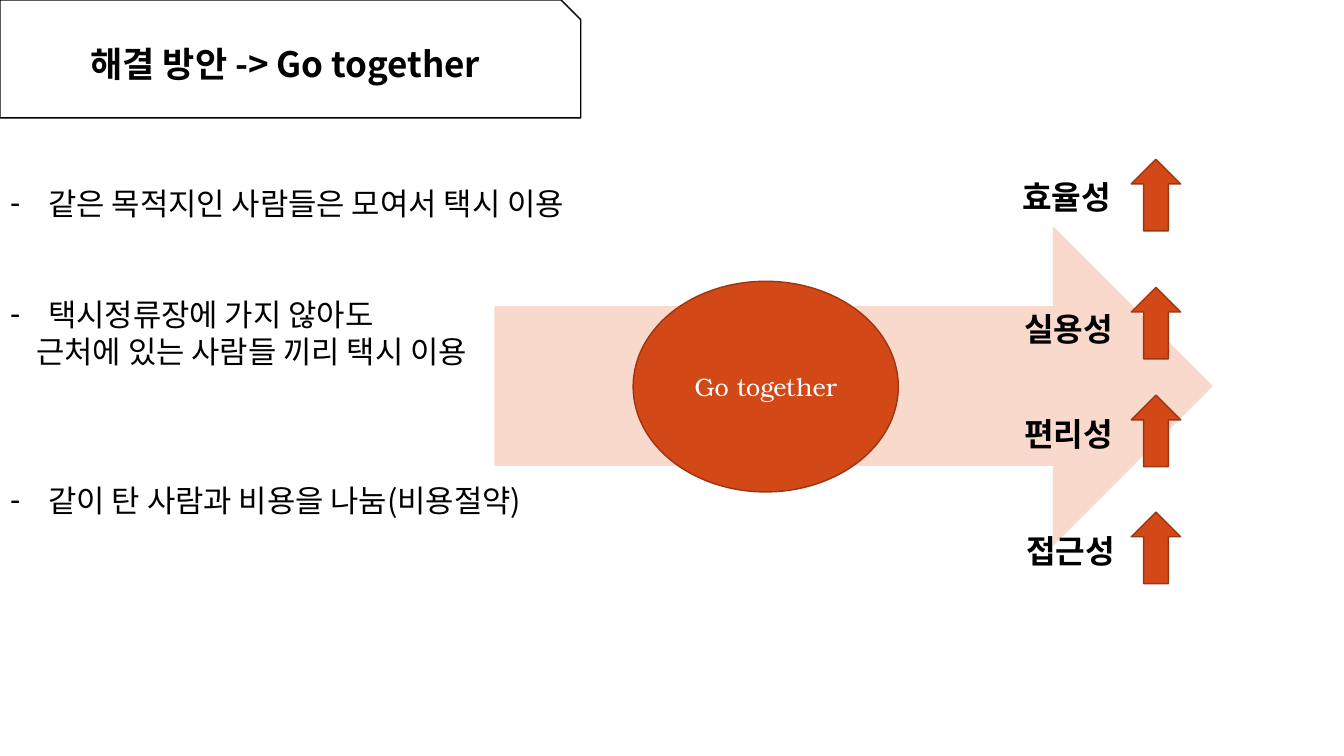
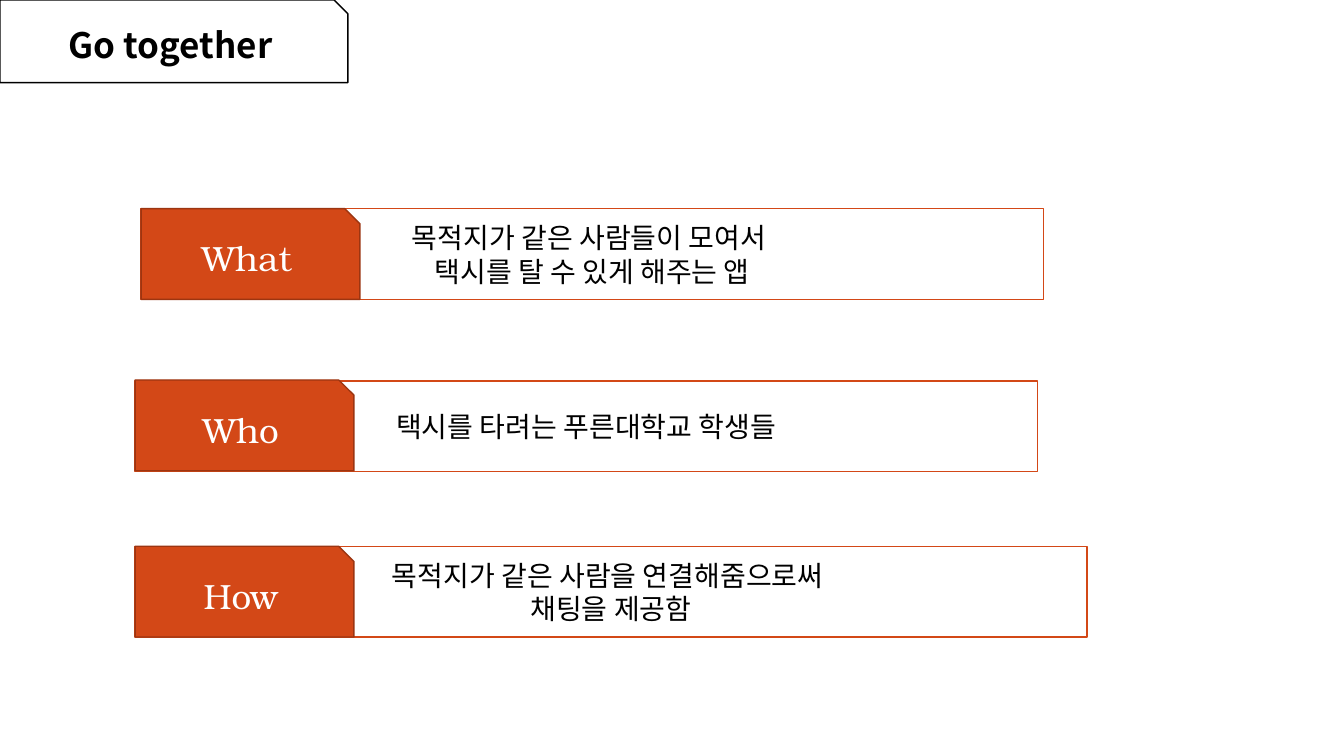
from lxml import etree
from pptx import Presentation
from pptx.dml.color import RGBColor
from pptx.enum.shapes import MSO_SHAPE
from pptx.enum.text import MSO_ANCHOR, MSO_AUTO_SIZE, PP_ALIGN
from pptx.oxml.ns import qn
from pptx.util import Inches, Pt

SNIPPED = MSO_SHAPE.SNIP_1_RECTANGLE
PROCESS = MSO_SHAPE.FLOWCHART_PROCESS
ELLIPSE = MSO_SHAPE.OVAL
RIGHT_ARROW = MSO_SHAPE.RIGHT_ARROW
UP_ARROW = MSO_SHAPE.UP_ARROW
LEFT, CENTER = PP_ALIGN.LEFT, PP_ALIGN.CENTER
TOP, MIDDLE = MSO_ANCHOR.TOP, MSO_ANCHOR.MIDDLE
NO_FIT = MSO_AUTO_SIZE.NONE

COLORS = {
    "white": "FFFFFF",
    "black": "000000",
    "orange": "D34817",
    "rust": "9C3511",
    "peach": "FAD9CD",
}
SANS, SERIF = "Noto Sans CJK KR", "TeX Gyre Bonum"
TITLE_LAYOUT, BODY_LAYOUT = 5, 1
SNIP_RATIO = 0.1667


def color(name):
    return RGBColor.from_string(COLORS[name])


def write(frame, lines, size=20, font=SANS, ink="black", bold=False,
          align=CENTER, anchor=MIDDLE, wrap=True):
    """Fill a text frame with one formatted paragraph per line."""
    frame.word_wrap = wrap
    frame.auto_size = NO_FIT
    frame.vertical_anchor = anchor
    for index, line in enumerate(lines):
        paragraph = frame.paragraphs[0] if index == 0 else frame.add_paragraph()
        paragraph.alignment = align
        paragraph.space_before = Pt(0)
        run = paragraph.add_run()
        run.text = line
        run.font.size = Pt(size)
        run.font.name = font
        run.font.bold = bold
        run.font.color.rgb = color(ink)
        east_asian = etree.SubElement(run.font._element, qn("a:ea"))
        east_asian.set("typeface", font)
    return frame.paragraphs


def set_bullet(paragraph, indent, character=None):
    """Give a hanging bullet, or a plain indent without one."""
    properties = paragraph._p.get_or_add_pPr()
    properties.set("marL", str(Inches(indent)))
    properties.set("indent", str(-Inches(indent) if character else 0))
    if character:
        etree.SubElement(properties, qn("a:buChar")).set("char", character)
    else:
        etree.SubElement(properties, qn("a:buNone"))


class Deck:
    def __init__(self):
        self.presentation = Presentation()
        self.presentation.slide_width = Inches(13.33)
        self.presentation.slide_height = Inches(7.5)
        self.slide = None

    def place(self, shape, left, top, width, height):
        shape.left, shape.top = Inches(left), Inches(top)
        shape.width, shape.height = Inches(width), Inches(height)

    def add_slide(self, layout, title, width, height):
        """Start a slide with its title inside a snipped frame."""
        self.slide = self.presentation.slides.add_slide(
            self.presentation.slide_layouts[layout])
        self.shape(SNIPPED, 0, 0, width, height, fill=None, line="black")
        inset = SNIP_RATIO * height / 2
        heading = self.slide.shapes.title
        self.place(heading, 0, inset, width - inset, height - inset)
        write(heading.text_frame, [title], size=25, bold=True)

    def shape(self, kind, left, top, width, height, fill="orange",
              line="rust", lines=(), **text_format):
        shape = self.slide.shapes.add_shape(
            kind, Inches(left), Inches(top), Inches(width), Inches(height))
        shape.shadow.inherit = False
        if fill:
            shape.fill.solid()
            shape.fill.fore_color.rgb = color(fill)
        else:
            shape.fill.background()
        shape.line.color.rgb = color(line)
        shape.line.width = Pt(1)
        write(shape.text_frame, lines, **text_format)

    def label(self, left, top, width, height, text, **text_format):
        box = self.slide.shapes.add_textbox(
            Inches(left), Inches(top), Inches(width), Inches(height))
        write(box.text_frame, [text], align=LEFT, anchor=TOP, wrap=False,
              **text_format)

    def body(self, left, top, width, height, items, size):
        """Items are (text, gap before in points, indent, bullet)."""
        body = self.slide.placeholders[1]
        self.place(body, left, top, width, height)
        paragraphs = write(body.text_frame, [item[0] for item in items],
                           size=size, align=LEFT, anchor=TOP)
        for paragraph, (_, gap, indent, bullet) in zip(paragraphs, items):
            paragraph.space_before = Pt(gap)
            set_bullet(paragraph, indent, bullet)


deck = Deck()

# Slide 1: the solution and its four gains
deck.add_slide(BODY_LAYOUT, "해결 방안 -> Go together", 5.76, 1.17)
deck.shape(RIGHT_ARROW, 4.91, 2.26, 7.11, 3.14, fill="peach", line="peach")
deck.shape(ELLIPSE, 6.28, 2.79, 2.63, 2.09, lines=["Go together"],
           size=18, font=SERIF, ink="white")
GAINS = [  # text, label left, label top, arrow top
    ("효율성", 10.04, 1.71, 1.58),
    ("실용성", 10.06, 3.02, 2.85),
    ("편리성", 10.06, 4.06, 3.92),
    ("접근성", 10.08, 5.22, 5.08),
]
for gain, label_left, label_top, arrow_top in GAINS:
    deck.label(label_left, label_top, 1.17, 0.49, gain, size=23, bold=True)
    deck.shape(UP_ARROW, 11.22, arrow_top, 0.49, 0.71)
deck.body(0, 1.78, 9.89, 3.43, [
    ("같은 목적지인 사람들은 모여서 택시 이용", 0, 0.38, "-"),
    ("택시정류장에 가지 않아도", 53, 0.38, "-"),
    ("근처에 있는 사람들 끼리 택시 이용", 0, 0.26, None),
    ("같이 탄 사람과 비용을 나눔(비용절약)", 80, 0.38, "-"),
], size=22)

# Slide 2: what, who and how
deck.add_slide(TITLE_LAYOUT, "Go together", 3.45, 0.82)
ROWS = [  # tag, left, tag top, box top, box width, description
    ("What", 1.4, 2.07, 2.07, 8.95,
     ["목적지가 같은 사람들이 모여서 ", "택시를 탈 수 있게 해주는 앱"]),
    ("Who", 1.34, 3.77, 3.78, 8.95, ["택시를 타려는 푸른대학교 학생들"]),
    ("How", 1.34, 5.42, 5.42, 9.44,
     ["목적지가 같은 사람을 연결해줌으로써 ", "채팅을 제공함"]),
]
for tag, left, tag_top, box_top, box_width, description in ROWS:
    deck.shape(PROCESS, left, box_top, box_width, 0.9, fill="white",
               line="orange", lines=description)
    deck.shape(SNIPPED, left, tag_top, 2.17, 0.9, lines=[tag],
               size=25, font=SERIF, ink="white")

deck.presentation.save("out.pptx")
